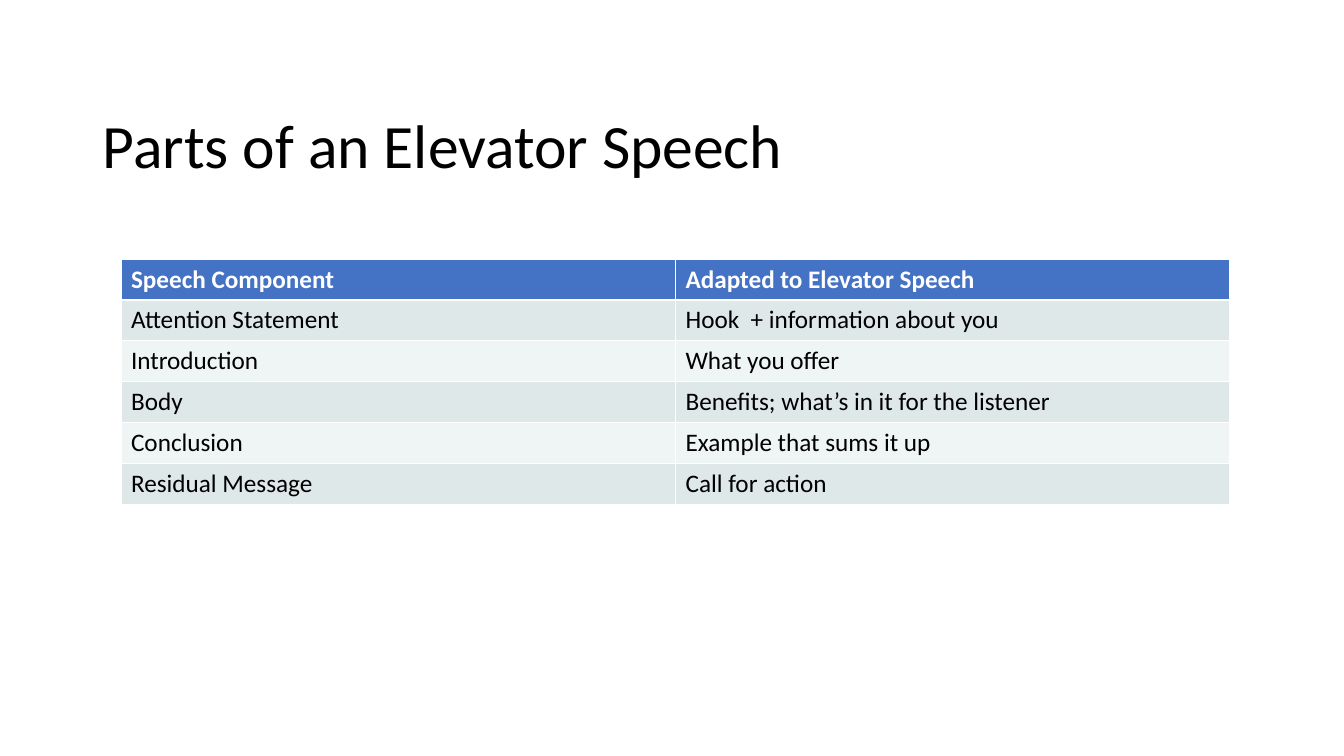
import pptx
import pptx.util
import pptx.dml.color
import pptx.enum.text

Inches = pptx.util.Inches
Pt = pptx.util.Pt
RGBColor = pptx.dml.color.RGBColor

BLACK = RGBColor(0x00, 0x00, 0x00)
WHITE = RGBColor(0xFF, 0xFF, 0xFF)
BLUE = RGBColor(0x44, 0x72, 0xC4)
DARK = RGBColor(0xDE, 0xE8, 0xE8)
LIGHT = RGBColor(0xEF, 0xF4, 0xF4)

PARTS = [
    ("Speech Component", "Adapted to Elevator Speech"),
    ("Attention Statement", "Hook  + information about you"),
    ("Introduction", "What you offer"),
    ("Body", "Benefits; what’s in it for the listener"),
    ("Conclusion", "Example that sums it up"),
    ("Residual Message", "Call for action"),
]


def style(font, color, **values):
    font.color.rgb = color
    for name, value in values.items():
        setattr(font, name, value)


deck = pptx.Presentation()
deck.slide_width = Inches(13.33)
deck.slide_height = Inches(7.5)
slide = deck.slides.add_slide(deck.slide_layouts[5])

# Title
title = slide.shapes.title
place = {"left": 0.92, "top": 0.4, "width": 11.5, "height": 1.45}
for name, value in place.items():
    setattr(title, name, Inches(value))
frame = title.text_frame
frame.text = "Parts of an Elevator Speech"
frame.auto_size = pptx.enum.text.MSO_AUTO_SIZE.NONE
frame.vertical_anchor = pptx.enum.text.MSO_ANCHOR.BOTTOM
line = frame.paragraphs[0]
line.alignment = pptx.enum.text.PP_ALIGN.LEFT
line.line_spacing = 0.85
style(line.font, BLACK, name="Calibri", size=Pt(44))

# Table: the default style draws the white rules
table = slide.shapes.add_table(
    len(PARTS), 2, Inches(1.2), Inches(2.57), Inches(11), Inches(2.43)
).table
for r, part in enumerate(PARTS):
    head = r == 0
    fill = BLUE if head else (LIGHT, DARK)[r % 2]
    for c, text in enumerate(part):
        cell = table.cell(r, c)
        cell.text = text
        cell.fill.solid()
        cell.fill.fore_color.rgb = fill
        style(cell.text_frame.paragraphs[0].font, WHITE if head else BLACK,
              name="Calibri", size=Pt(18), bold=head)

deck.save("out.pptx")
